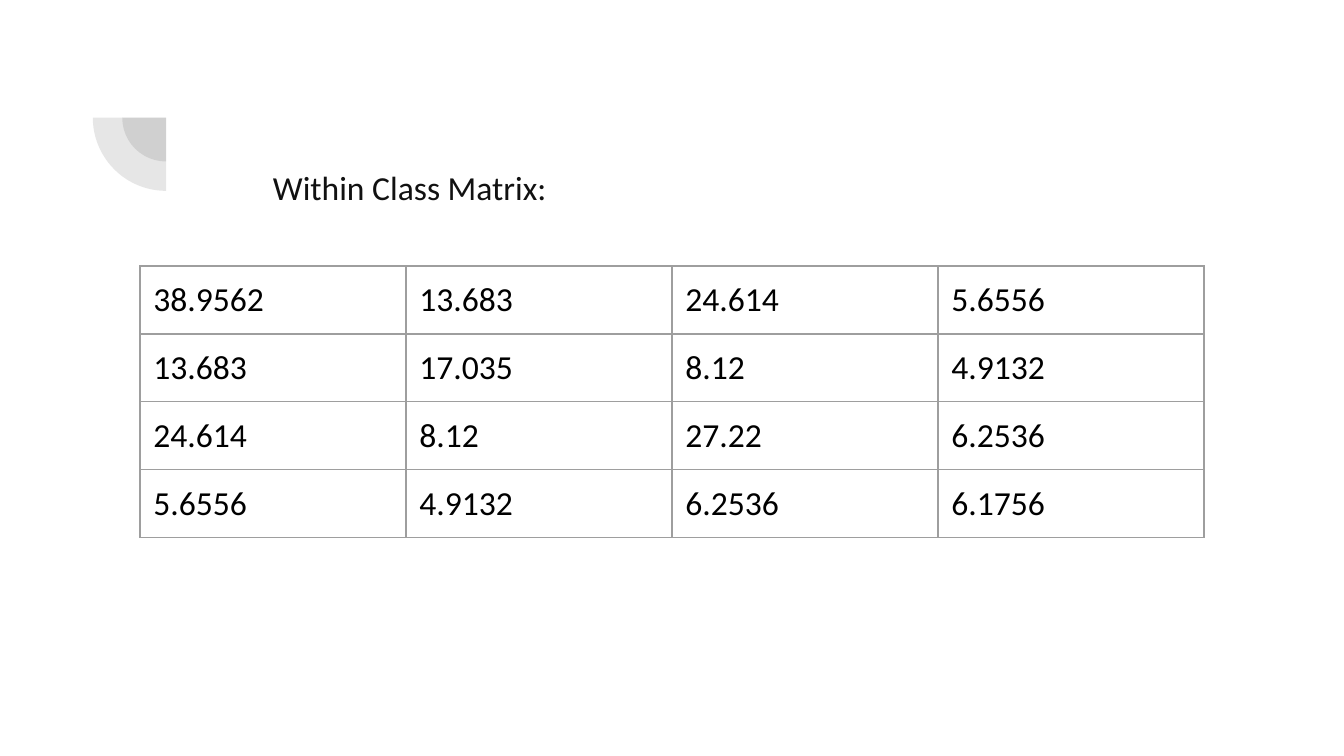
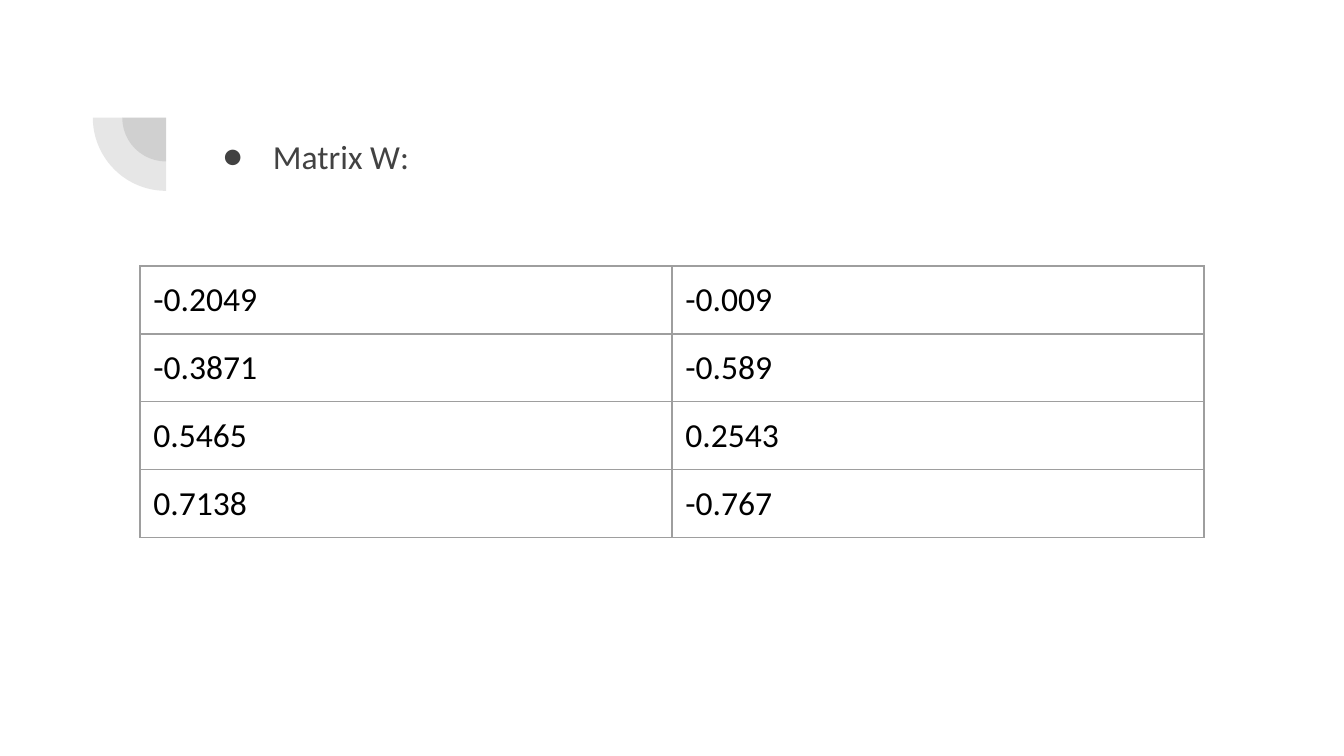
from dataclasses import dataclass

from lxml.etree import SubElement
from pptx import Presentation
from pptx.dml.color import RGBColor
from pptx.enum.shapes import MSO_SHAPE as Shp
from pptx.enum.text import MSO_ANCHOR as Anchor, MSO_AUTO_SIZE as AutoSize, PP_ALIGN as Align
from pptx.oxml.ns import qn
from pptx.util import Pt

FONT = "Calibri"
SIZE = 18
INSET = 7.2
BLACK = "000000"
INK = "111111"
GRAY = "424242"
GRID = "9E9E9E"
PIE_CENTER = (89, 63)
PIE_SIZES = (47, 78.5)
TABLE_LEFT, TABLE_TOP, TABLE_WIDTH = 75, 142.5, 570
ROW_HEIGHT = 30.5


@dataclass(frozen=True)
class Label:
    text: str
    top: float
    color: str
    spacing: float
    margin: float
    indent: float
    align: Align
    bullet: str = ""


@dataclass(frozen=True)
class MatrixSlide:
    label: Label
    rows: tuple[tuple[str, ...], ...]


SLIDES = (
    MatrixSlide(
        Label("Within Class Matrix:", 65, INK, 1.8, 0, 36, Align.JUSTIFY),
        (
            ("38.9562", "13.683", "24.614", "5.6556"),
            ("13.683", "17.035", "8.12", "4.9132"),
            ("24.614", "8.12", "27.22", "6.2536"),
            ("5.6556", "4.9132", "6.2536", "6.1756"),
        ),
    ),
    MatrixSlide(
        Label("Matrix W:", 62.5, GRAY, 1.15, 36, -27, Align.LEFT, "●"),
        (
            ("-0.2049", "-0.009"),
            ("-0.3871", "-0.589"),
            ("0.5465", "0.2543"),
            ("0.7138", "-0.767"),
        ),
    ),
)


def rgb(color: str) -> RGBColor:
    return RGBColor.from_string(color)


def style_runs(p, color: str) -> None:
    for r in p.runs:
        r.font.name = FONT
        r.font.size = Pt(SIZE)
        r.font.color.rgb = rgb(color)


def set_insets(target) -> None:
    target.margin_left = target.margin_right = Pt(INSET)
    target.margin_top = target.margin_bottom = Pt(INSET)


def add_pies(slide, layout) -> None:
    cx, cy = PIE_CENTER
    for i, size in enumerate(PIE_SIZES):
        sp = slide.shapes.add_shape(
            Shp.PIE, Pt(cx - size / 2), Pt(cy - size / 2), Pt(size), Pt(size)
        )
        sp.adjustments[0] = 108
        sp.adjustments[1] = 162
        sp.rotation = 270
        sp.shadow.inherit = False
        sp.line.fill.background()
        sp.fill.solid()
        sp.fill.fore_color.rgb = rgb(GRAY)
        clr = sp.element.spPr.find(qn("a:solidFill"))[0]
        SubElement(clr, qn("a:alpha"), val="13000")
        layout.shapes.element.insert(2 + i, sp.element)


def set_bullet(p, label: Label) -> None:
    pPr = p._p.get_or_add_pPr()
    pPr.set("marL", str(Pt(label.margin)))
    pPr.set("indent", str(Pt(label.indent)))
    if not label.bullet:
        SubElement(pPr, qn("a:buNone"))
        return
    clr = SubElement(pPr, qn("a:buClr"))
    SubElement(clr, qn("a:srgbClr"), val=label.color)
    SubElement(pPr, qn("a:buFont"), typeface=FONT)
    SubElement(pPr, qn("a:buChar"), char=label.bullet)


def fill_label(sp, label: Label) -> None:
    sp.left, sp.top = Pt(103), Pt(label.top)
    sp.width, sp.height = Pt(554), Pt(357 - label.top)
    tf = sp.text_frame
    tf.word_wrap = True
    tf.auto_size = AutoSize.NONE
    tf.vertical_anchor = Anchor.TOP
    set_insets(tf)
    tf.text = label.text
    p = tf.paragraphs[0]
    p.alignment = label.align
    p.line_spacing = label.spacing
    p.space_before = p.space_after = Pt(0)
    set_bullet(p, label)
    style_runs(p, label.color)


def set_borders(cell) -> None:
    tcPr = cell._tc.get_or_add_tcPr()
    for side in ("lnL", "lnR", "lnT", "lnB"):
        ln = SubElement(tcPr, qn(f"a:{side}"), w=str(Pt(0.75)))
        fill = SubElement(ln, qn("a:solidFill"))
        SubElement(fill, qn("a:srgbClr"), val=GRID)


def add_matrix(slide, rows: tuple[tuple[str, ...], ...]) -> None:
    n_rows, n_cols = len(rows), len(rows[0])
    table = slide.shapes.add_table(
        n_rows, n_cols, Pt(TABLE_LEFT), Pt(TABLE_TOP), Pt(TABLE_WIDTH), Pt(ROW_HEIGHT * n_rows)
    ).table
    table.first_row = table.horz_banding = False
    for row, values in zip(table.rows, rows):
        for cell, value in zip(row.cells, values):
            cell.text = value
            set_insets(cell)
            set_borders(cell)
            cell.fill.background()
            style_runs(cell.text_frame.paragraphs[0], BLACK)


def main() -> None:
    prs = Presentation()
    prs.slide_width, prs.slide_height = Pt(720), Pt(405)
    layout = prs.slide_layouts[1]
    for i, item in enumerate(SLIDES):
        slide = prs.slides.add_slide(layout)
        title = slide.shapes.title.element
        title.getparent().remove(title)
        if i == 0:
            add_pies(slide, layout)
        fill_label(slide.placeholders[1], item.label)
        add_matrix(slide, item.rows)
    prs.save("out.pptx")


if __name__ == "__main__":
    main()
